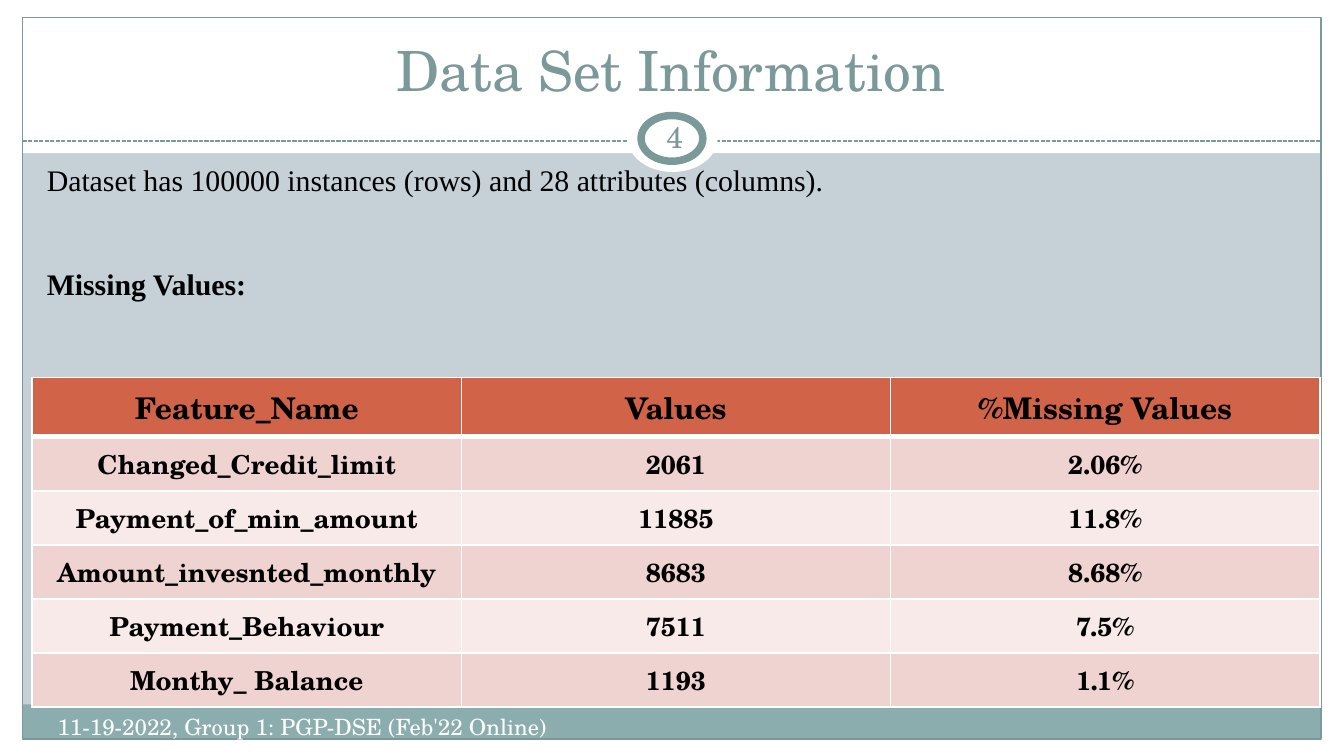
from lxml import etree
from pptx import Presentation
from pptx.dml.color import RGBColor
from pptx.enum.dml import MSO_LINE
from pptx.enum.shapes import MSO_CONNECTOR, MSO_SHAPE
from pptx.enum.text import MSO_ANCHOR, PP_ALIGN
from pptx.oxml.ns import qn
from pptx.util import Inches, Pt

RECTANGLE, OVAL = MSO_SHAPE.RECTANGLE, MSO_SHAPE.OVAL
STRAIGHT, DASH = MSO_CONNECTOR.STRAIGHT, MSO_LINE.SQUARE_DOT
LEFT, CENTER = PP_ALIGN.LEFT, PP_ALIGN.CENTER
TOP, MIDDLE, BOTTOM = MSO_ANCHOR.TOP, MSO_ANCHOR.MIDDLE, MSO_ANCHOR.BOTTOM
SERIF, BODY = "TeX Gyre Schola", "Times New Roman"
WHITE, BLACK, TEAL, BAR = "FFFFFF", "000000", "7C999A", "8CADAE"
BACKDROP, HEADER, BANDS = "C5D1D7", "D16349", ("EED3D0", "F7EAE9")
WIDTH = 10
HEIGHT = WIDTH * 9 / 16
MISSING_VALUES = [
    ("Feature_Name", "Values", "%Missing Values"),
    ("Changed_Credit_limit", "2061", "2.06%"),
    ("Payment_of_min_amount", "11885", "11.8%"),
    ("Amount_invesnted_monthly", "8683", "8.68%"),
    ("Payment_Behaviour", "7511", "7.5%"),
    ("Monthy_ Balance", "1193", "1.1%"),
]


def color(value):
    """Return the colour for a hex string."""
    return RGBColor.from_string(value)


def inches(box):
    """Return the lengths of a box in inches."""
    return [Inches(length) for length in box]


def write(frame, text, size=16, font=SERIF, ink=BLACK, bold=False, align=LEFT,
          anchor=TOP, wrap=True, inset=None):
    """Fill a text frame with one format, one paragraph per line."""
    frame.word_wrap, frame.vertical_anchor = wrap, anchor
    if inset is not None:
        frame.margin_left = frame.margin_right = Inches(inset)
        frame.margin_top = frame.margin_bottom = Inches(inset)
    frame.text = text
    for paragraph in frame.paragraphs:
        paragraph.alignment = align
        paragraph.space_before = Pt(0)
        for run in paragraph.runs:
            run.font.size, run.font.name, run.font.bold = Pt(size), font, bold
            run.font.color.rgb = color(ink)


def add_panel(slide, box, kind=RECTANGLE, fill=None, line=None, weight=0.75):
    """Add a flat shape with an optional fill and outline."""
    panel = slide.shapes.add_shape(kind, *inches(box))
    panel.shadow.inherit = False
    if fill:
        panel.fill.solid()
        panel.fill.fore_color.rgb = color(fill)
    else:
        panel.fill.background()
    if line:
        panel.line.color.rgb = color(line)
        panel.line.width = Pt(weight)
    else:
        panel.line.fill.background()


def add_frame(slide, left, top, width, height):
    """Add white margins, the footer bar and the outline around a box."""
    right, bottom = left + width, top + height
    for margin in ((0, bottom, WIDTH, HEIGHT - bottom), (0, 0, WIDTH, 1.14),
                   (0, 0, left, HEIGHT), (right, 0, WIDTH - right, HEIGHT)):
        add_panel(slide, margin, fill=WHITE)
    add_panel(slide, (left, bottom - 0.26, width, 0.25), fill=BAR)
    add_panel(slide, (left, top, width, height), line=TEAL)


def add_heading(slide, left, top, width, height):
    """Add the title, the dashed rule and the page number badge."""
    rule_y, middle = top + height, left + width / 2
    rule = slide.shapes.add_connector(
        STRAIGHT, *inches((left, rule_y, left + width, rule_y)))
    rule.line.color.rgb = color(TEAL)
    rule.line.width = Pt(0.75)
    rule.line.dash_style = DASH
    etree.SubElement(rule.element.spPr, qn("a:effectLst"))
    add_panel(slide, (middle - 0.33, rule_y - 0.27, 0.67, 0.5), OVAL, WHITE)
    add_panel(slide, (middle - 0.23, rule_y - 0.19, 0.46, 0.34), OVAL, WHITE, TEAL, 4)
    title = slide.shapes.title
    title.left, title.top, title.width, title.height = inches(
        (left + 0.16, top + 0.06, width - 0.33, 0.62))
    write(title.text_frame, "Data Set Information", size=29.7, ink=TEAL,
          align=CENTER, anchor=BOTTOM)
    title.element.getparent().append(title.element)
    add_text(slide, (middle - 0.23, rule_y - 0.21, 0.5, 0.36), "4", ink=TEAL,
             align=CENTER, anchor=MIDDLE, inset=0.05)


def add_text(slide, box, text, **style):
    """Add a text box and return its text frame."""
    frame = slide.shapes.add_textbox(*inches(box)).text_frame
    write(frame, text, **style)
    return frame


def add_summary(slide, left, top, width, height):
    """Add the data set size and the label of the table."""
    frame = add_text(
        slide, (left, top, width, height),
        "Dataset has 100000 instances (rows) and 28 attributes (columns).\nMissing Values:",
        font=BODY)
    label = frame.paragraphs[1]
    label.space_before, label.runs[0].font.bold = Pt(37), True


def set_borders(cell, top, bottom):
    """Give a cell white borders, with top and bottom widths in points."""
    properties = cell._tc.get_or_add_tcPr()
    sides = (("L", 1), ("R", 1), ("T", top), ("B", bottom))
    for index, (side, weight) in enumerate(sides):
        border = etree.Element(qn(f"a:ln{side}"), w=str(Pt(weight)))
        fill = etree.SubElement(border, qn("a:solidFill"))
        etree.SubElement(fill, qn("a:srgbClr"), val=WHITE)
        properties.insert(index, border)


def add_missing_table(slide, left, top, width, height):
    """Add the table of missing values with a header and banded rows."""
    rows, columns = len(MISSING_VALUES), len(MISSING_VALUES[0])
    table = slide.shapes.add_table(
        rows, columns, *inches((left, top, width, height))).table
    header_height = 0.44
    for index, row in enumerate(table.rows):
        row.height = Inches((height - header_height) / (rows - 1) if index else header_height)
        for cell, text in zip(row.cells, MISSING_VALUES[index]):
            write(cell.text_frame, text, size=14 if index else 16, bold=True, align=CENTER)
            cell.vertical_anchor = MIDDLE
            cell.fill.solid()
            cell.fill.fore_color.rgb = color(BANDS[(index - 1) % 2] if index else HEADER)
            set_borders(cell, top=3 if index == 1 else 1, bottom=1 if index else 3)


def main():
    """Build the slide and save it."""
    deck = Presentation()
    deck.slide_width, deck.slide_height = Inches(WIDTH), Inches(HEIGHT)
    slide = deck.slides.add_slide(deck.slide_layouts[5])
    slide.background.fill.solid()
    slide.background.fill.fore_color.rgb = color(BACKDROP)
    add_frame(slide, 0.17, 0.13, 9.66, 5.37)
    add_heading(slide, 0.17, 0.13, 9.66, 0.92)
    add_summary(slide, 0.25, 1.15, 9.58, 4.22)
    add_missing_table(slide, 0.24, 2.81, 9.58, 2.45)
    add_text(slide, (0.33, 5.26, 3.92, 0.3),
             "11-19-2022, Group 1: PGP-DSE (Feb'22 Online)", size=12, ink=WHITE, wrap=False)
    deck.save("out.pptx")


if __name__ == "__main__":
    main()
